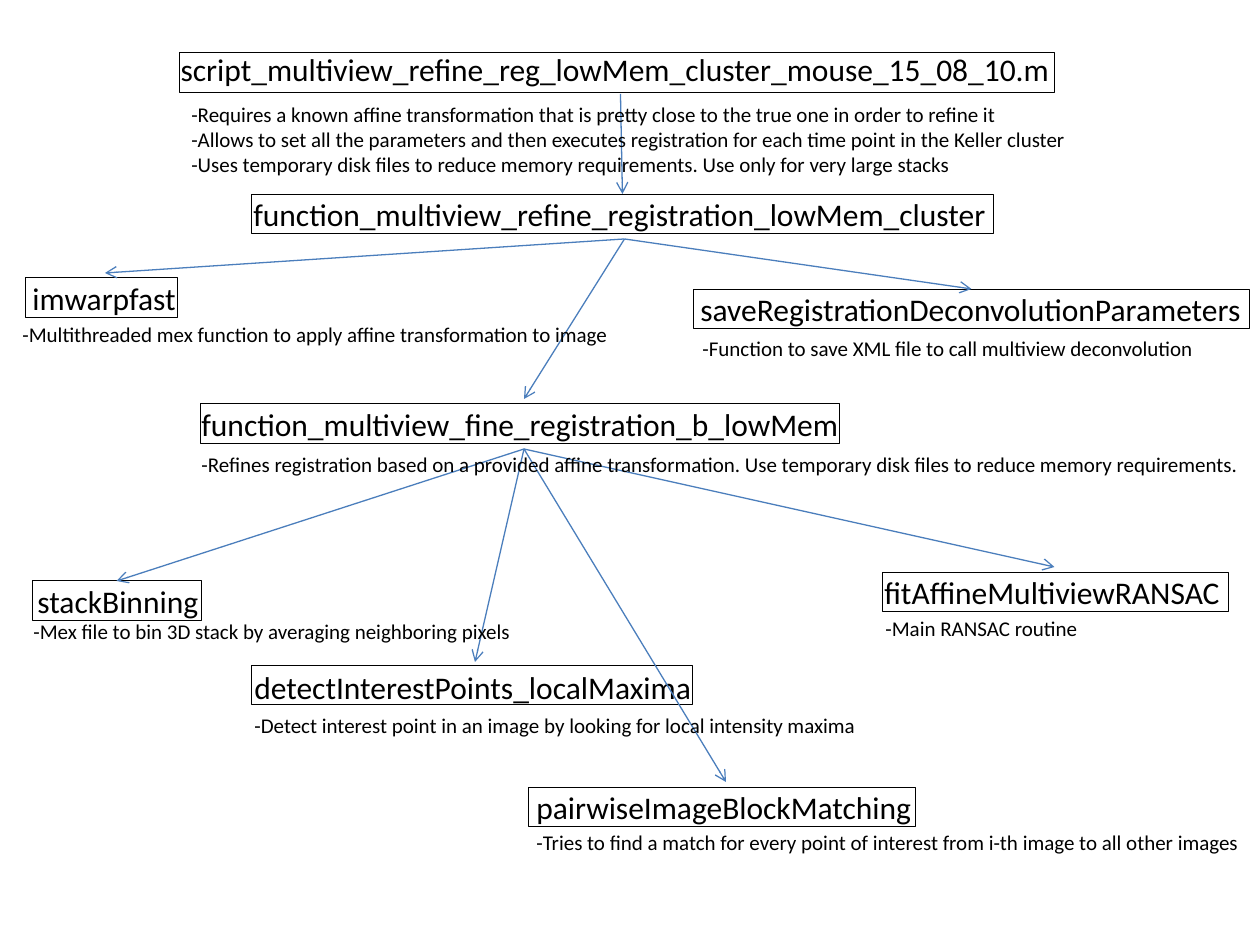
from dataclasses import dataclass
from typing import NamedTuple

from lxml.etree import SubElement
from pptx import Presentation
from pptx.dml.color import RGBColor
from pptx.enum.shapes import MSO_CONNECTOR, MSO_SHAPE
from pptx.enum.text import MSO_ANCHOR, MSO_AUTO_SIZE, PP_ALIGN
from pptx.oxml.ns import qn
from pptx.util import Emu, Inches, Pt

EMU_PER_PX = Inches(1) / 126
LABEL_H, FRAME_H, NOTE_H, NOTE_STEP = 50, 40, 38, 25.5
TOP, BOTTOM = 0, 2  # connection sites of a rectangle


@dataclass(frozen=True)
class Theme:
    """Fonts, sizes and colours of the slide."""
    font: str = "Calibri"
    name_size: Pt = Pt(18)
    note_size: Pt = Pt(12)
    ink: RGBColor = RGBColor(0x00, 0x00, 0x00)
    arrow: RGBColor = RGBColor(0x4B, 0x7E, 0xBC)
    frame_width: Pt = Pt(0.5)
    arrow_width: Pt = Pt(0.75)


class Node(NamedTuple):
    """A routine: label and frame as (left, top, width), note as well."""
    name: str
    label: tuple
    frame: tuple
    note: tuple = ()
    lines: tuple = ()


THEME = Theme()

NODES = {
    "script": Node(
        "script_multiview_refine_reg_lowMem_cluster_mouse_15_08_10.m",
        (168, 44, 905), (179, 53, 876), (179, 95, 910),
        ("-Requires a known affine transformation that is pretty close to the true one in order to refine it",
         "-Allows to set all the parameters and then executes registration for each time point in the Keller cluster",
         "-Uses temporary disk files to reduce memory requirements. Use only for very large stacks")),
    "refine": Node(
        "function_multiview_refine_registration_lowMem_cluster",
        (241, 189, 767), (251, 194, 743)),
    "warp": Node(
        "imwarpfast", (20, 273, 170), (26, 278, 152), (10, 315, 617),
        ("-Multithreaded mex function to apply affine transformation to image",)),
    "fine": Node(
        "function_multiview_fine_registration_b_lowMem",
        (189, 399, 670), (200, 404, 640), (189, 445, 1074),
        ("-Refines registration based on a provided affine transformation. "
         "Use temporary disk files to reduce memory requirements.",)),
    "save": Node(
        "saveRegistrationDeconvolutionParameters",
        (688, 284, 572), (693, 289, 557), (690, 329, 522),
        ("-Function to save XML file to call multiview deconvolution",)),
    "binning": Node(
        "stackBinning", (25, 576, 188), (32, 581, 169), (21, 612, 508),
        ("-Mex file to bin 3D stack by averaging neighboring pixels",)),
    "detect": Node(
        "detectInterestPoints_localMaxima",
        (242, 662, 466), (251, 665, 442), (242, 706, 634),
        ("-Detect interest point in an image by looking for local intensity maxima",)),
    "match": Node(
        "pairwiseImageBlockMatching",
        (524, 782, 404), (528, 787, 388), (524, 823, 736),
        ("-Tries to find a match for every point of interest from i-th image to all other images",)),
    "ransac": Node(
        "fitAffineMultiviewRANSAC",
        (872, 567, 365), (882, 572, 347), (873, 609, 219),
        ("-Main RANSAC routine",)),
}

CALLS = {
    "script": ("refine",),
    "refine": ("warp", "fine", "save"),
    "fine": ("binning", "detect", "match", "ransac"),
}
FRAME_TARGETS = {"refine", "save", "binning"}


def px(value):
    """Turn picture pixels into EMU."""
    return Emu(round(value * EMU_PER_PX))


def place(sp, box, height):
    """Move a shape to (left, top, width) with the given height."""
    sp.left, sp.top, sp.width = (px(v) for v in box)
    sp.height = px(height)


def write(sp, lines, size):
    """Write left-aligned, unwrapped lines into a shape."""
    tf = sp.text_frame
    tf.word_wrap = False
    tf.auto_size = MSO_AUTO_SIZE.SHAPE_TO_FIT_TEXT
    tf.vertical_anchor = MSO_ANCHOR.TOP
    for i, line in enumerate(lines):
        p = tf.paragraphs[0] if i == 0 else tf.add_paragraph()
        p.alignment = PP_ALIGN.LEFT
        r = p.add_run()
        r.text = line
        r.font.name, r.font.size = THEME.font, size
        r.font.color.rgb = THEME.ink


def add_text(slide, box, height, lines, size):
    """Add a text box."""
    sp = slide.shapes.add_textbox(0, 0, 0, 0)
    place(sp, box, height)
    write(sp, lines, size)
    return sp


def add_title(slide, node):
    """Use the title placeholder for the top routine."""
    sp = slide.shapes.title
    place(sp, node.label, LABEL_H)
    write(sp, [node.name], THEME.name_size)
    return sp


def add_frame(slide, box):
    """Add an unfilled outline around a label."""
    sp = slide.shapes.add_shape(MSO_SHAPE.RECTANGLE, 0, 0, 0, 0)
    place(sp, box, FRAME_H)
    sp.shadow.inherit = False
    sp.fill.background()
    sp.line.color.rgb, sp.line.width = THEME.ink, THEME.frame_width
    return sp


def add_arrow(slide, caller, callee):
    """Join the bottom of the caller to the top of the callee."""
    cxn = slide.shapes.add_connector(MSO_CONNECTOR.STRAIGHT, 0, 0, 0, 0)
    cxn.begin_connect(caller, BOTTOM)
    cxn.end_connect(callee, TOP)
    cxn.line.color.rgb, cxn.line.width = THEME.arrow, THEME.arrow_width
    SubElement(cxn.line._get_or_add_ln(), qn("a:tailEnd"), type="arrow")
    SubElement(cxn._element.spPr, qn("a:effectLst"))


def main():
    """Build the call graph slide."""
    prs = Presentation()
    prs.slide_width, prs.slide_height = Inches(10), Inches(7.5)
    slide = prs.slides.add_slide(prs.slide_layouts[5])

    labels = {
        key: add_title(slide, node) if key == "script" else
        add_text(slide, node.label, LABEL_H, [node.name], THEME.name_size)
        for key, node in NODES.items()}
    frames = {key: add_frame(slide, node.frame) for key, node in NODES.items()}

    for caller, callees in CALLS.items():
        for callee in callees:
            targets = frames if callee in FRAME_TARGETS else labels
            add_arrow(slide, labels[caller], targets[callee])

    for node in NODES.values():
        if node.lines:
            height = NOTE_H + NOTE_STEP * (len(node.lines) - 1)
            add_text(slide, node.note, height, node.lines, THEME.note_size)

    prs.save("out.pptx")


main()
